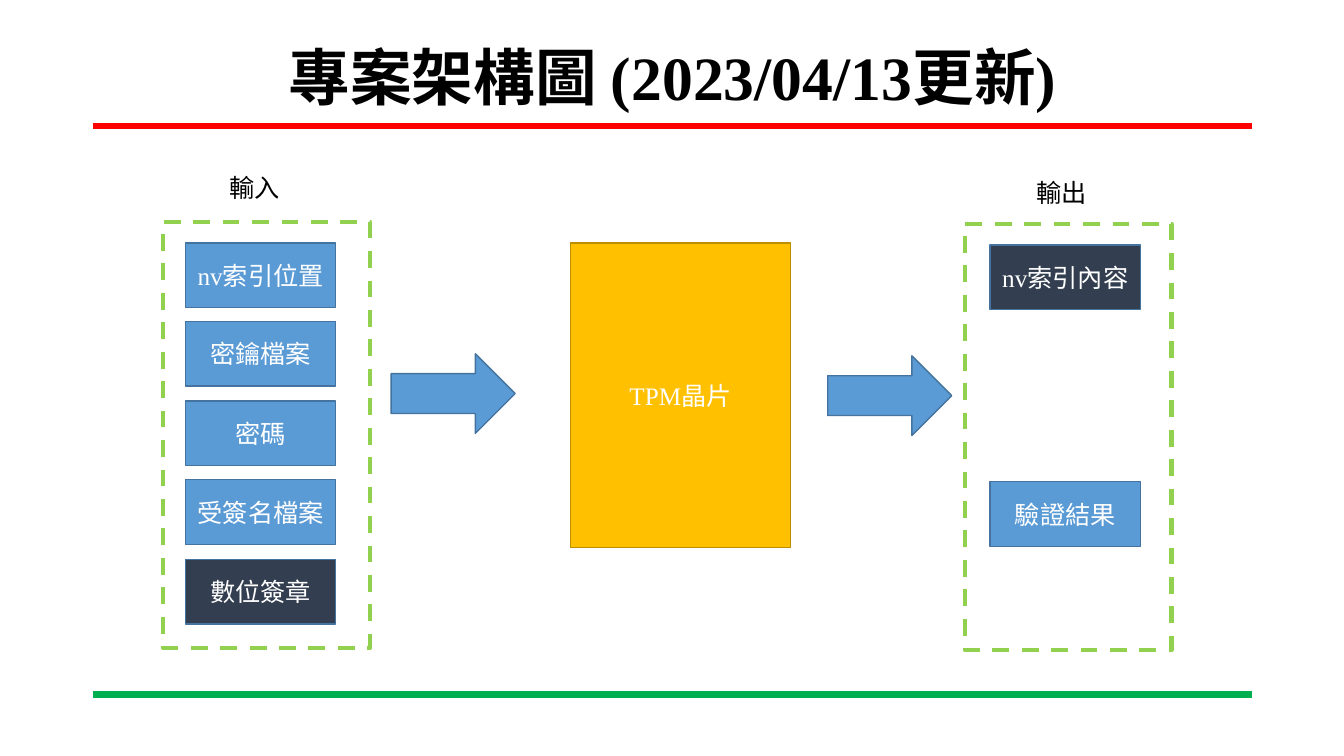
from dataclasses import dataclass

from lxml.etree import SubElement
from pptx import Presentation
from pptx.dml.color import RGBColor
from pptx.enum.dml import MSO_LINE
from pptx.enum.shapes import MSO_CONNECTOR, MSO_SHAPE
from pptx.enum.text import MSO_ANCHOR, PP_ALIGN
from pptx.oxml.ns import qn
from pptx.shapes.autoshape import Shape
from pptx.slide import Slide
from pptx.util import Emu, Pt

EMU_PER_PX = 9144  # 100 px to the inch


@dataclass(frozen=True)
class Theme:
    font: str = "Times New Roman"
    title_size: int = 44
    body_size: int = 18
    black: str = "000000"
    white: str = "FFFFFF"
    blue: str = "5B9BD5"
    blue_edge: str = "43739E"
    navy: str = "333F50"
    gold: str = "FFC000"
    gold_edge: str = "BD8E00"
    frame_green: str = "92D050"
    top_rule: str = "FF0000"
    bottom_rule: str = "00B050"


THEME = Theme()


@dataclass(frozen=True)
class Area:
    left: int
    top: int
    width: int
    height: int

    def emu(self) -> tuple[Emu, ...]:
        return tuple(px(n) for n in (self.left, self.top, self.width, self.height))


@dataclass(frozen=True)
class Item:
    row: int
    label: str
    fill: str = THEME.blue


@dataclass(frozen=True)
class Panel:
    caption: str
    caption_left: int
    caption_top: int
    frame: Area
    item_left: int
    first_top: int
    items: tuple[Item, ...]


PANELS = (
    Panel("輸入", 218, 166, Area(162, 220, 205, 423), 184, 241, (
        Item(0, "nv索引位置"),
        Item(1, "密鑰檔案"),
        Item(2, "密碼"),
        Item(3, "受簽名檔案"),
        Item(4, "數位簽章", THEME.navy),
    )),
    Panel("輸出", 1018, 171, Area(957, 222, 205, 423), 982, 243, (
        Item(0, "nv索引內容", THEME.navy),
        Item(3, "驗證結果"),
    )),
)
ARROWS = (Area(388, 351, 123, 79), Area(821, 353, 123, 79))
RULES = ((125, THEME.top_rule), (689, THEME.bottom_rule))
ITEM_WIDTH, ITEM_HEIGHT = 149, 64
FIVE_ROW_SPAN = 314  # from the top of row 0 to the top of row 4


def px(length: int) -> Emu:
    return Emu(length * EMU_PER_PX)


def rgb(colour: str) -> RGBColor:
    return RGBColor.from_string(colour)


def write(holder: Shape, text: str, colour: str, size: int = THEME.body_size,
          align: PP_ALIGN = PP_ALIGN.CENTER, bold: bool = False) -> None:
    frame = holder.text_frame
    frame.text = text
    frame.word_wrap = True
    paragraph = frame.paragraphs[0]
    paragraph.alignment = align
    font = paragraph.runs[0].font
    font.name, font.size, font.bold = THEME.font, Pt(size), bold
    font.color.rgb = rgb(colour)


def add_block(slide: Slide, area: Area, fill: str, edge: str, text: str = "",
              kind: MSO_SHAPE = MSO_SHAPE.RECTANGLE) -> None:
    block = slide.shapes.add_shape(kind, *area.emu())
    block.shadow.inherit = False
    block.fill.solid()
    block.fill.fore_color.rgb = rgb(fill)
    block.line.color.rgb = rgb(edge)
    block.line.width = Pt(1)
    if text:
        write(block, text, THEME.white)
        block.text_frame.vertical_anchor = MSO_ANCHOR.MIDDLE


def add_rule(slide: Slide, top: int, colour: str) -> None:
    rule = slide.shapes.add_connector(
        MSO_CONNECTOR.STRAIGHT, px(92), px(top), px(1242), px(top))
    rule.line.color.rgb = rgb(colour)
    rule.line.width = Pt(4.5)
    SubElement(rule.line._get_or_add_ln().getparent(), qn("a:effectLst"))


def add_title(slide: Slide, text: str) -> None:
    title = slide.shapes.add_textbox(*Area(92, 40, 1150, 79).emu())
    write(title, text, THEME.black, THEME.title_size, bold=True)
    title.text_frame.vertical_anchor = MSO_ANCHOR.MIDDLE
    title.text_frame.paragraphs[0].line_spacing = 0.9


def add_panel(slide: Slide, panel: Panel) -> None:
    for item in panel.items:
        top = panel.first_top + item.row * FIVE_ROW_SPAN // 4
        area = Area(panel.item_left, top, ITEM_WIDTH, ITEM_HEIGHT)
        add_block(slide, area, item.fill, THEME.blue_edge, item.label)

    border = slide.shapes.add_shape(MSO_SHAPE.RECTANGLE, *panel.frame.emu())
    border.shadow.inherit = False
    border.fill.background()
    border.line.color.rgb = rgb(THEME.frame_green)
    border.line.width = Pt(3)
    border.line.dash_style = MSO_LINE.DASH

    caption_area = Area(panel.caption_left, panel.caption_top, 81, 40)
    caption = slide.shapes.add_textbox(*caption_area.emu())
    write(caption, panel.caption, THEME.black, align=PP_ALIGN.LEFT)


def main() -> None:
    deck = Presentation()
    deck.slide_width, deck.slide_height = px(1333), px(750)
    slide = deck.slides.add_slide(deck.slide_layouts[6])

    # Heading and rules
    for top, colour in RULES:
        add_rule(slide, top, colour)
    add_title(slide, "專案架構圖 (2023/04/13更新)")

    # Chip between input and output
    add_block(slide, Area(566, 241, 218, 302), THEME.gold, THEME.gold_edge, "TPM晶片")
    for arrow in ARROWS:
        add_block(slide, arrow, THEME.blue, THEME.blue_edge, kind=MSO_SHAPE.RIGHT_ARROW)
    for panel in PANELS:
        add_panel(slide, panel)

    deck.save("out.pptx")


if __name__ == "__main__":
    main()
